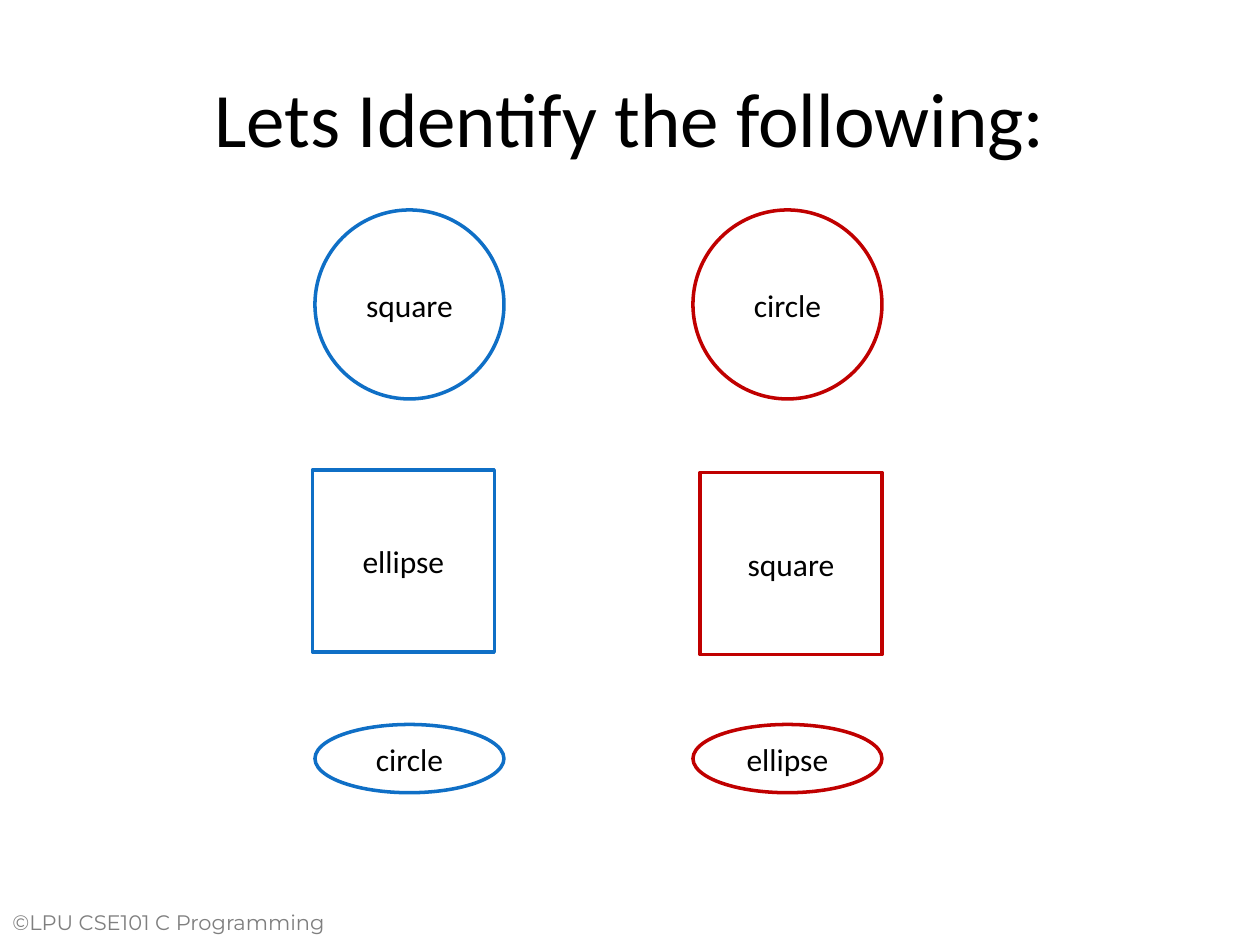
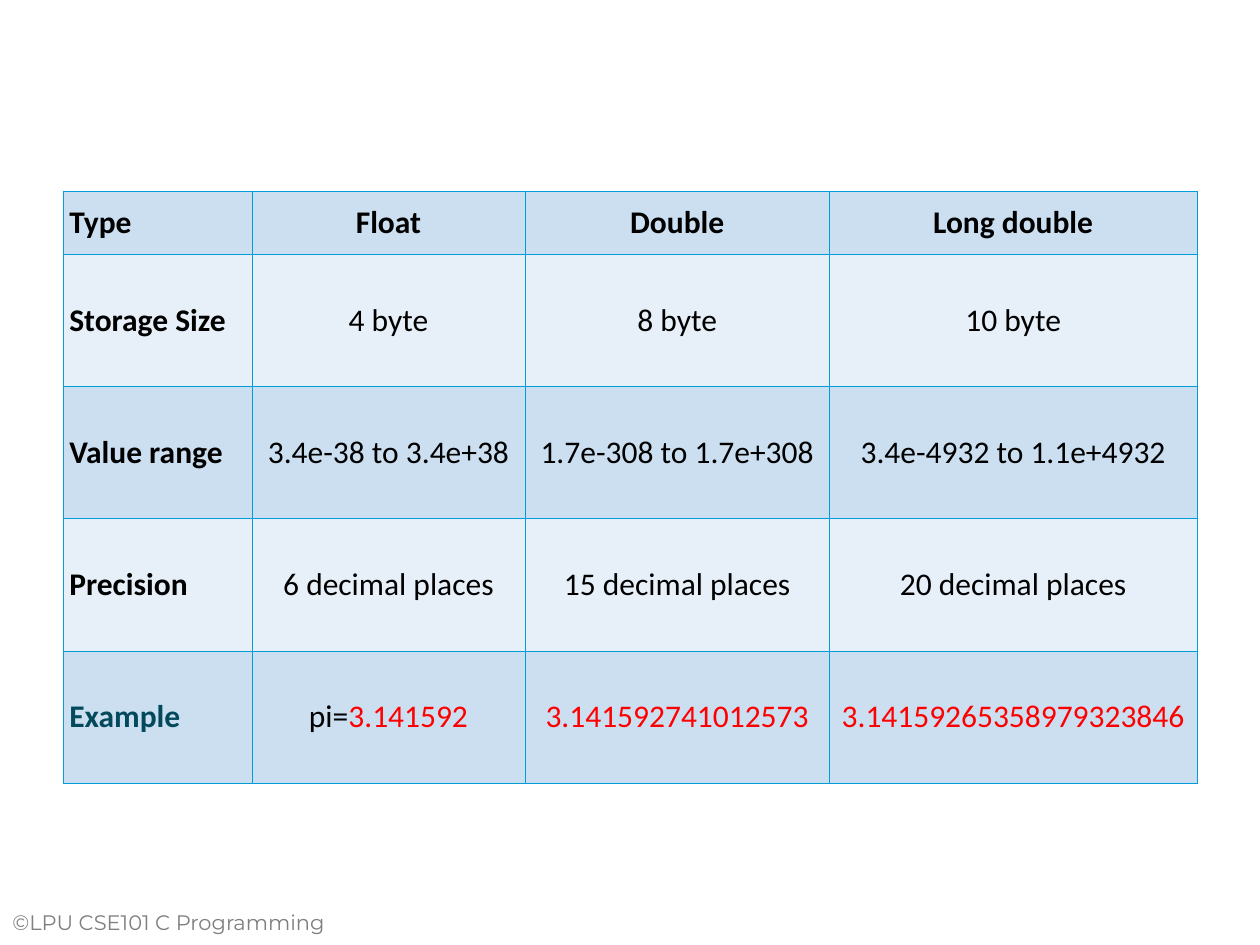
"""Builds two C programming slides: a shape naming puzzle and a table of floating types."""
from dataclasses import dataclass

from lxml import etree
from pptx import Presentation
from pptx.dml.color import RGBColor
from pptx.enum.shapes import MSO_SHAPE
from pptx.enum.text import MSO_ANCHOR, PP_ALIGN
from pptx.oxml.ns import qn
from pptx.util import Pt

OVAL, SQUARE = MSO_SHAPE.OVAL, MSO_SHAPE.RECTANGLE
LEFT, CENTER = PP_ALIGN.LEFT, PP_ALIGN.CENTER
TOP, MIDDLE = MSO_ANCHOR.TOP, MSO_ANCHOR.MIDDLE


@dataclass(frozen=True)
class Theme:
    body_font: str = "Calibri"
    footer_font: str = "Montserrat"
    title_size: int = 44
    body_size: int = 18
    footer_size: int = 12
    text: str = "000000"
    footer: str = "7F7F7F"
    paper: str = "FFFFFF"
    blue: str = "0F6FC6"
    red: str = "C00000"
    dark_band: str = "CBDFF1"
    light_band: str = "E7F0F8"
    grid: str = "009DD9"
    example: str = "03495C"
    digits: str = "FF0000"


THEME = Theme()


def write(frame, runs, align=CENTER, anchor=MIDDLE, size=THEME.body_size,
          font=THEME.body_font, bold=False):
    frame.word_wrap = True
    frame.vertical_anchor = anchor
    paragraph = frame.paragraphs[0]
    paragraph.alignment = align
    for words, color in runs:
        run = paragraph.add_run()
        run.text = words
        run.font.name = font
        run.font.size = Pt(size)
        run.font.bold = bold
        run.font.color.rgb = RGBColor.from_string(color)


def outline_cell(cell):
    properties = cell._tc.get_or_add_tcPr()
    for side in ("a:lnL", "a:lnR", "a:lnT", "a:lnB"):
        border = etree.SubElement(properties, qn(side), w=str(Pt(0.45)))
        fill = etree.SubElement(border, qn("a:solidFill"))
        etree.SubElement(fill, qn("a:srgbClr"), val=THEME.grid)


deck = Presentation()
deck.slide_width, deck.slide_height = Pt(720), Pt(540)
blank = deck.slide_layouts[6]
puzzle_slide, types_slide = [deck.slides.add_slide(blank) for _ in range(2)]

for slide in (puzzle_slide, types_slide):
    footer = slide.shapes.add_textbox(Pt(0), Pt(516), Pt(216), Pt(30))
    write(footer.text_frame, [("©LPU CSE101 C Programming", THEME.footer)], LEFT, TOP,
          THEME.footer_size, THEME.footer_font)

title = puzzle_slide.shapes.add_textbox(Pt(36), Pt(21.6), Pt(648), Pt(90))
write(title.text_frame, [("Lets Identify the following:", THEME.text)], size=THEME.title_size)

figures = [
    (THEME.blue, OVAL, 180, 120, 108, 108, "square"),
    (THEME.blue, SQUARE, 178.5, 268.5, 104, 104, "ellipse"),
    (THEME.blue, OVAL, 180, 414, 108, 39, "circle"),
    (THEME.red, OVAL, 396, 120, 108, 108, "circle"),
    (THEME.red, SQUARE, 400, 270, 104, 104, "square"),
    (THEME.red, OVAL, 396, 414, 108, 39, "ellipse"),
]
for color, outline, left, top, width, height, label in figures:
    figure = puzzle_slide.shapes.add_shape(outline, Pt(left), Pt(top), Pt(width), Pt(height))
    figure.shadow.inherit = False
    figure.fill.solid()
    figure.fill.fore_color.rgb = RGBColor.from_string(THEME.paper)
    figure.line.color.rgb = RGBColor.from_string(color)
    figure.line.width = Pt(2)
    write(figure.text_frame, [(label, THEME.text)])

type_facts = [
    ["Type", "Float", "Double", "Long double"],
    ["Storage Size", "4 byte", "8 byte", "10 byte"],
    ["Value range", "3.4e-38 to 3.4e+38", "1.7e-308 to 1.7e+308", "3.4e-4932 to 1.1e+4932"],
    ["Precision", "6 decimal places", "15 decimal places", "20 decimal places"],
    ["Example", "pi=3.141592", "3.141592741012573", "3.14159265358979323846"],
]
column_widths = [108, 156, 174, 210]
row_heights = [36] + [75.6] * 4
types_table = types_slide.shapes.add_table(
    len(row_heights), len(column_widths), Pt(36), Pt(109.3),
    Pt(sum(column_widths)), Pt(sum(row_heights))).table
for column, width in zip(types_table.columns, column_widths):
    column.width = Pt(width)
for row, height in zip(types_table.rows, row_heights):
    row.height = Pt(height)

for r, facts in enumerate(type_facts):
    for c, fact in enumerate(facts):
        cell = types_table.cell(r, c)
        cell.margin_left = cell.margin_right = cell.margin_top = cell.margin_bottom = Pt(3.6)
        cell.vertical_anchor = MIDDLE
        outline_cell(cell)
        cell.fill.solid()
        cell.fill.fore_color.rgb = RGBColor.from_string(
            THEME.light_band if r % 2 else THEME.dark_band)
        runs = [(fact, THEME.text)]
        if facts[0] == "Example":
            name, equals, digits = fact.rpartition("=")
            runs = [(name + equals, THEME.text)] if equals else []
            runs.append((digits, THEME.digits if c else THEME.example))
        write(cell.text_frame, runs, CENTER if c else LEFT, bold=r == 0 or c == 0)

deck.save("out.pptx")
